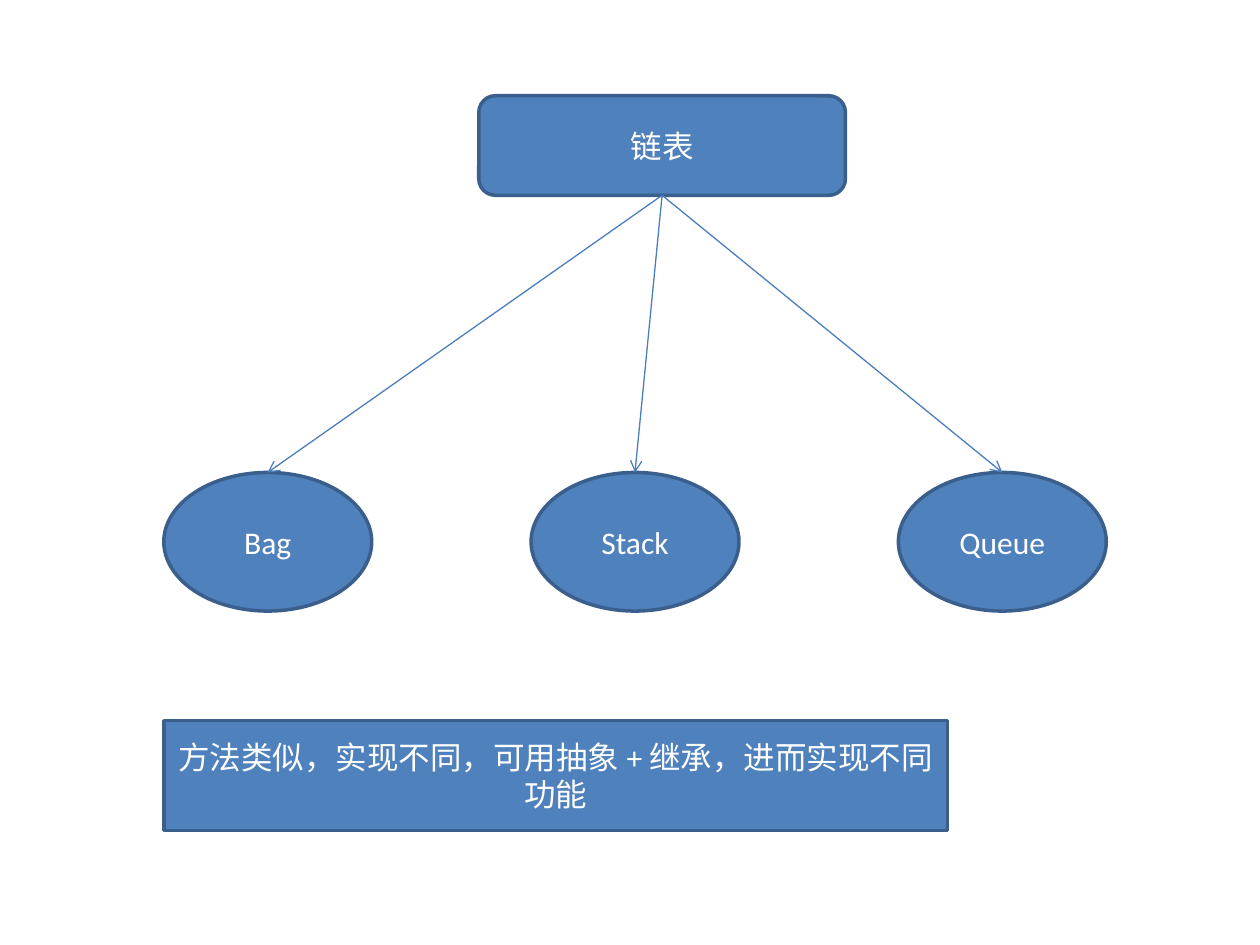
from lxml.etree import SubElement
from pptx import Presentation
from pptx.dml.color import RGBColor
from pptx.enum.shapes import MSO_CONNECTOR as Connector, MSO_SHAPE as Shape
from pptx.enum.text import MSO_ANCHOR as Anchor, PP_ALIGN as Align
from pptx.oxml.ns import qn
from pptx.util import Inches, Pt

COLORS = {"fill": "4F81BD", "outline": "3A5F8C", "arrow": "4B7EBC", "text": "FFFFFF"}
BOTTOM_SITE, TOP_SITE = 2, 0


def color(name):
    return RGBColor.from_string(COLORS[name])


def write_text(box, text, size=18, font="Calibri", ink="text", align=Align.CENTER):
    frame = box.text_frame
    frame.word_wrap = True
    frame.vertical_anchor = Anchor.MIDDLE
    para = frame.paragraphs[0]
    para.alignment = align
    span = para.add_run()
    span.text = text
    span.font.size = Pt(size)
    span.font.name = font
    span.font.color.rgb = color(ink)


def add_node(page, kind, text, left, top, width, height):
    box = page.shapes.add_shape(
        kind, Inches(left), Inches(top), Inches(width), Inches(height))
    box.shadow.inherit = False
    box.fill.solid()
    box.fill.fore_color.rgb = color("fill")
    box.line.color.rgb = color("outline")
    box.line.width = Pt(2)
    write_text(box, text)
    return box


def add_arrow(page, parent, child):
    arrow = page.shapes.add_connector(Connector.STRAIGHT, 0, 0, 0, 0)
    arrow.begin_connect(parent, BOTTOM_SITE)
    arrow.end_connect(child, TOP_SITE)
    arrow.line.color.rgb = color("arrow")
    arrow.line.width = Pt(0.75)
    SubElement(arrow.line._get_or_add_ln(), qn("a:tailEnd"), type="arrow")
    SubElement(arrow._element.spPr, qn("a:effectLst"))


def add_tree(page, root_text, leaf_texts, left, top, width, height):
    """Root above a row of evenly spaced leaves joined by arrows."""
    root = add_node(page, Shape.ROUNDED_RECTANGLE, root_text,
                    left + 2.5, top, 2.91, 0.79)
    leaf_width, leaf_height = 1.65, 1.1
    step = (width - leaf_width) / (len(leaf_texts) - 1)
    leaves = [
        add_node(page, Shape.OVAL, text, left + index * step,
                 top + height - leaf_height, leaf_width, leaf_height)
        for index, text in enumerate(leaf_texts)
    ]
    for leaf in leaves:
        add_arrow(page, root, leaf)


deck = Presentation()
deck.slide_width, deck.slide_height = Inches(10), Inches(7.5)
page = deck.slides.add_slide(deck.slide_layouts[6])

# Linked list and the structures built on it
add_tree(page, "链表", ["Bag", "Stack", "Queue"], 1.3, 0.76, 7.48, 4.09)

# Summary
add_node(page, Shape.RECTANGLE, "方法类似，实现不同，可用抽象 + 继承，进而实现不同功能",
         1.3, 5.72, 6.22, 0.87)

deck.save("out.pptx")
